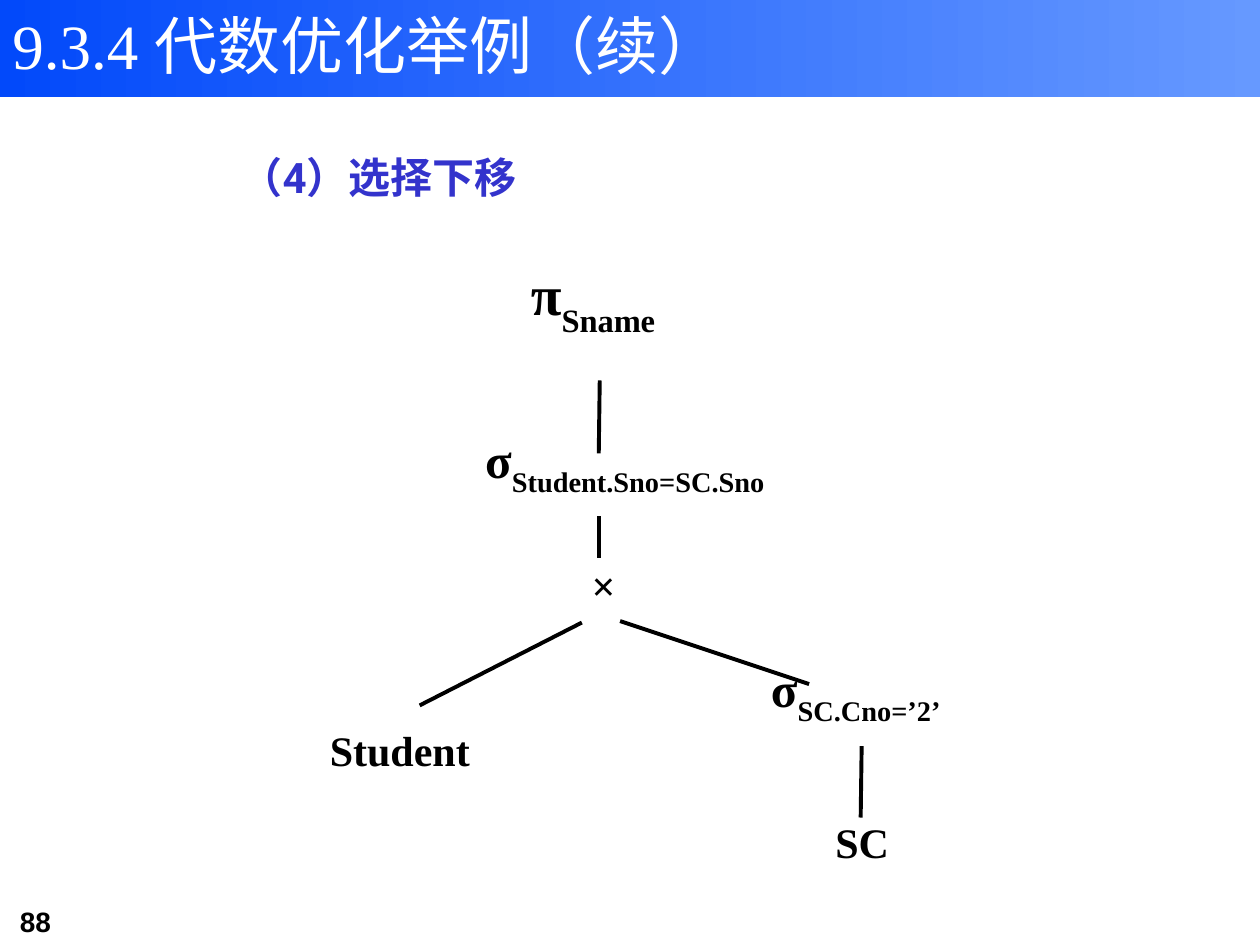
"""Build the slide on pushing selections down a relational algebra query tree."""
from lxml.etree import SubElement
from pptx import Presentation
from pptx.dml.color import RGBColor as RGB
from pptx.enum.shapes import MSO_CONNECTOR as CONNECTOR, MSO_SHAPE as SHAPE
from pptx.enum.text import MSO_ANCHOR as ANCHOR, PP_ALIGN as ALIGN
from pptx.oxml.ns import qn
from pptx.util import Cm, Pt

SERIF = "Times New Roman"
BLACK = "000000"
BANNER = {"box": (0, 0, 25.4, 1.96), "colors": ("0249FA", "6699FF")}

LABELS = [
    ("9.3.4 代数优化举例（续）", (0, 0, 17.6, 3.33), 36, SERIF, "FFFFFF", False),
    ("（4）选择下移", (4.6, 2.92, 15.09, 1.27), 24, "Roboto", "3333CC", True),
    ("88", (0.15, 18.11, 3.1, 0.94), 16, "Arial", BLACK, True),
]

TREE_NODES = [
    ("π", "Sname", (10.05, 5.08, 3.81, 1.9), 32),
    ("σ", "Student.Sno=SC.Sno", (9, 8.5, 7.19, 1.7), 28),
    ("×", "", (10.9, 11.05, 2.54, 1.47), 24),
    ("Student", "", (6.06, 14.38, 4, 1.47), 24),
    ("σ", "SC.Cno=’2’", (14.29, 13.33, 5.92, 1.27), 28),
    ("SC", "", (15.79, 16.12, 3.18, 1.7), 24),
]

TREE_EDGES = [
    (12.09, 7.67, 12.07, 9.14),
    (12.07, 10.41, 12.07, 11.25),
    (11.73, 12.55, 8.46, 14.22),
    (12.5, 12.52, 16.31, 13.79),
    (17.37, 15.04, 17.35, 16.48),
]


def color(hex_code):
    return RGB.from_string(hex_code)


def lengths(values):
    return [Cm(value) for value in values]


def add_banner(slide):
    banner = slide.shapes.add_shape(SHAPE.RECTANGLE, *lengths(BANNER["box"]))
    banner.shadow.inherit = False
    banner.line.fill.background()
    banner.fill.gradient()
    banner.fill.gradient_angle = 0
    for stop, shade in zip(banner.fill.gradient_stops, BANNER["colors"]):
        stop.color.rgb = color(shade)


def add_label(slide, text, box, size, font_name, shade, bold):
    frame = slide.shapes.add_textbox(*lengths(box)).text_frame
    frame.word_wrap = True
    paragraph = frame.paragraphs[0]
    paragraph.add_run().text = text
    font = paragraph.font
    font.size, font.name, font.bold = Pt(size), font_name, bold
    font.color.rgb = color(shade)
    return frame


def add_node(slide, symbol, subscript, box, size):
    frame = add_label(slide, symbol, box, size, SERIF, BLACK, True)
    frame.word_wrap = False
    frame.vertical_anchor = ANCHOR.MIDDLE
    paragraph = frame.paragraphs[0]
    paragraph.alignment = ALIGN.CENTER
    if subscript:
        condition = paragraph.add_run()
        condition.text = subscript
        condition._r.get_or_add_rPr().set("baseline", "-30000")


def add_edge(slide, ends):
    edge = slide.shapes.add_connector(CONNECTOR.STRAIGHT, *lengths(ends))
    edge.line.color.rgb = color(BLACK)
    edge.line.width = Pt(2.25)
    SubElement(edge._element.spPr, qn("a:effectLst"))


def main():
    deck = Presentation()
    deck.slide_width, deck.slide_height = lengths((25.4, 19.05))
    slide = deck.slides.add_slide(deck.slide_layouts[6])
    add_banner(slide)
    for label in LABELS:
        add_label(slide, *label)
    for node in TREE_NODES:
        add_node(slide, *node)
    for ends in TREE_EDGES:
        add_edge(slide, ends)
    deck.save("out.pptx")


if __name__ == "__main__":
    main()
